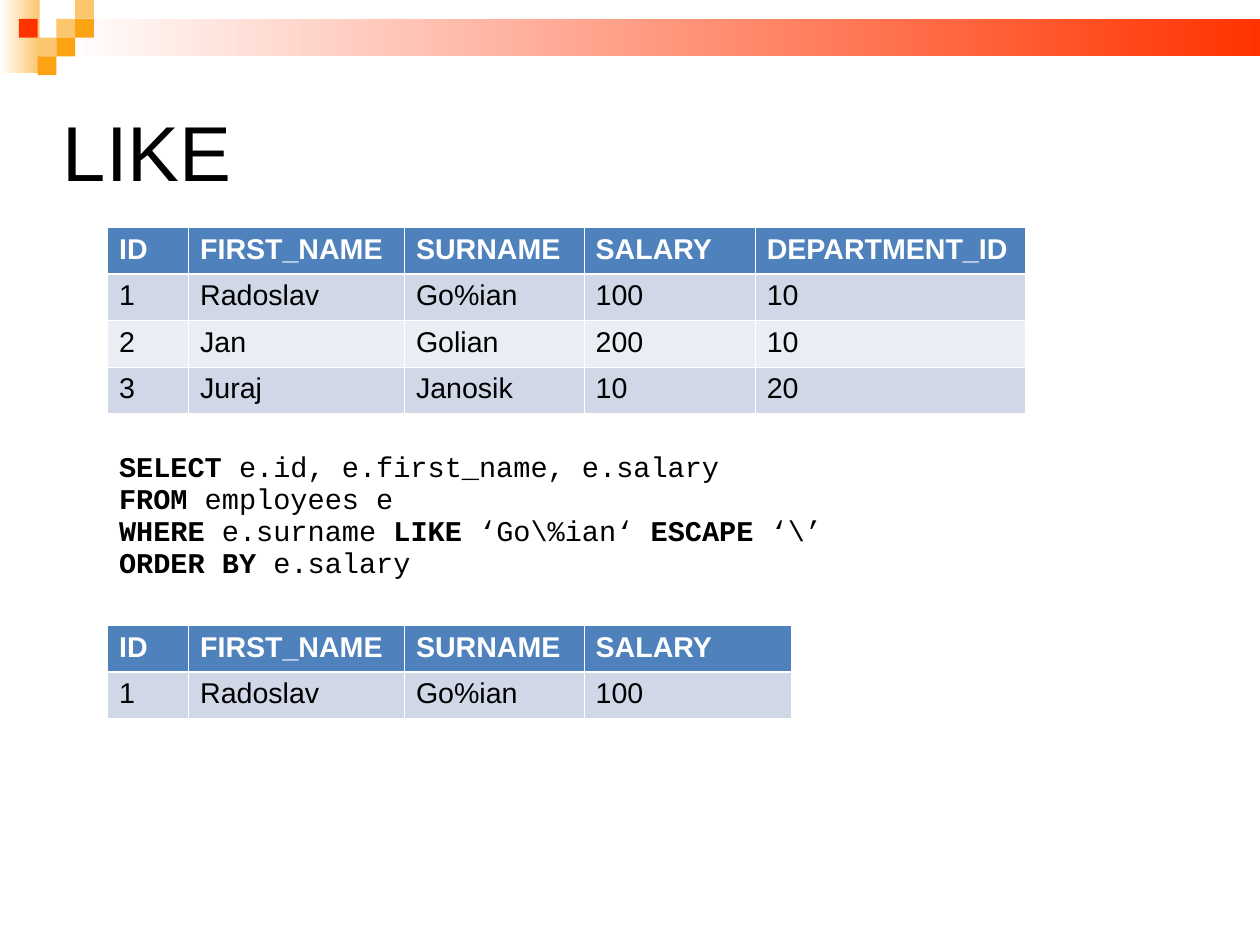
import pptx
import pptx.dml.color
import pptx.enum.shapes
import pptx.enum.text
import pptx.oxml
import pptx.oxml.ns
import pptx.util

Pt = pptx.util.Pt
RGBColor = pptx.dml.color.RGBColor

BLACK = RGBColor(0x00, 0x00, 0x00)
WHITE = RGBColor(0xFF, 0xFF, 0xFF)
RED = RGBColor(0xFF, 0x33, 0x00)
ORANGE = RGBColor(0xFB, 0xA3, 0x13)
SAND = RGBColor(0xFC, 0xC6, 0x6E)
HEADER_BLUE = RGBColor(0x4F, 0x81, 0xBD)
BAND_DARK = RGBColor(0xD0, 0xD8, 0xE8)
BAND_LIGHT = RGBColor(0xE9, 0xED, 0xF4)

TITLE_FONT = {"name": "Arial", "size": Pt(49), "bold": False}
HEADER_FONT = {"name": "Arial", "size": Pt(18), "bold": True}
BODY_FONT = {"name": "Arial", "size": Pt(18), "bold": False}
CODE_FONT = {"name": "Courier New", "size": Pt(18), "bold": False}
KEYWORD_FONT = {"name": "Courier New", "size": Pt(18), "bold": True}

THIN, THICK = 0.45, 1.47
ROW_HEIGHT = 29.3
TABLE_LEFT = 67.9
TILE = 11.85
TILES = [
    (3, 1, SAND), (4, 0, SAND), (4, 1, ORANGE), (2, 2, SAND),
    (1, 1, RED), (3, 2, ORANGE), (2, 3, ORANGE),
]

EMPLOYEES = [
    ["ID", "FIRST_NAME", "SURNAME", "SALARY", "DEPARTMENT_ID"],
    ["1", "Radoslav", "Go%ian", "100", "10"],
    ["2", "Jan", "Golian", "200", "10"],
    ["3", "Juraj", "Janosik", "10", "20"],
]
RESULT = [EMPLOYEES[0][:4], EMPLOYEES[1][:4]]
QUERY = [
    [("SELECT ", True), ("e.id, e.first_name, e.salary", False)],
    [("FROM", True), (" employees e", False)],
    [("WHERE ", True), ("e.surname ", False), ("LIKE", True),
     (" ‘Go\\%ian‘ ", False), ("ESCAPE", True), (" ‘\\’", False)],
    [("ORDER BY ", True), ("e.salary", False)],
]


def set_attributes(target, values):
    for name, value in values.items():
        setattr(target, name, value)


def add_span(para, text, font, color):
    span = para.add_run()
    span.text = text
    set_attributes(span.font, font)
    span.font.color.rgb = color


def add_rectangle(page, left, top, width, height):
    rectangle = page.shapes.add_shape(
        pptx.enum.shapes.MSO_SHAPE.RECTANGLE,
        Pt(left), Pt(top), Pt(width), Pt(height))
    rectangle.shadow.inherit = False
    rectangle.line.fill.background()
    return rectangle


def add_fade(page, left, top, width, height, color):
    fill = add_rectangle(page, left, top, width, height).fill
    fill.gradient()
    fill.gradient_angle = 180
    for stop, stop_color in zip(fill.gradient_stops, (color, WHITE)):
        stop.color.rgb = stop_color
    for stop, position in zip(fill.gradient_stops, (0, 1)):
        stop.position = position


def add_tile(page, column, row, color):
    tile = add_rectangle(page, column * TILE, row * TILE, TILE, TILE)
    tile.fill.solid()
    tile.fill.fore_color.rgb = color


def set_title(page, text):
    title = page.shapes.title
    set_attributes(title, {"left": Pt(39.6), "top": Pt(39.6),
                           "width": Pt(714.2), "height": Pt(118.8)})
    set_attributes(title.text_frame, {
        "margin_left": 0, "margin_top": 0, "margin_right": 0,
        "margin_bottom": 0, "word_wrap": True,
        "vertical_anchor": pptx.enum.text.MSO_ANCHOR.MIDDLE})
    para = title.text_frame.paragraphs[0]
    set_attributes(para, {"alignment": pptx.enum.text.PP_ALIGN.LEFT,
                          "line_spacing": 0.87})
    add_span(para, text, TITLE_FONT, BLACK)


def add_query(page, lines):
    box = page.shapes.add_textbox(Pt(TABLE_LEFT), Pt(280.8), Pt(550), Pt(88.6))
    frame = box.text_frame
    frame.word_wrap = True
    for index, line in enumerate(lines):
        para = frame.add_paragraph() if index else frame.paragraphs[0]
        para.line_spacing = 0.94
        for text, is_keyword in line:
            add_span(para, text, KEYWORD_FONT if is_keyword else CODE_FONT, BLACK)


def add_borders(cell, top, bottom):
    properties = cell._tc.get_or_add_tcPr()
    for side, width in (("L", THIN), ("R", THIN), ("T", top), ("B", bottom)):
        properties.append(pptx.oxml.parse_xml(
            f'<a:ln{side} {pptx.oxml.ns.nsdecls("a")} w="{Pt(width)}">'
            f'<a:solidFill><a:srgbClr val="{WHITE}"/></a:solidFill></a:ln{side}>'))


def fill_cell(cell, text, row):
    add_borders(cell, THICK if row == 1 else THIN, THICK if row == 0 else THIN)
    cell.fill.solid()
    if row == 0:
        background, font, color = HEADER_BLUE, HEADER_FONT, WHITE
    else:
        background = BAND_DARK if row % 2 else BAND_LIGHT
        font, color = BODY_FONT, BLACK
    cell.fill.fore_color.rgb = background
    add_span(cell.text_frame.paragraphs[0], text, font, color)


def add_records(page, top, widths, records):
    table = page.shapes.add_table(
        len(records), len(widths), Pt(TABLE_LEFT), Pt(top),
        Pt(sum(widths)), Pt(ROW_HEIGHT * len(records))).table
    for column, width in zip(table.columns, widths):
        column.width = Pt(width)
    for row, record in enumerate(records):
        table.rows[row].height = Pt(ROW_HEIGHT)
        for column, text in enumerate(record):
            fill_cell(table.cell(row, column), text, row)


def main():
    deck = pptx.Presentation()
    set_attributes(deck, {"slide_width": Pt(793.7), "slide_height": Pt(595.3)})
    page = deck.slides.add_slide(deck.slide_layouts[5])
    add_fade(page, 0, 0, 25, 46, SAND)
    add_fade(page, 36, TILE, 757.7, 2 * TILE, RED)
    for column, row, color in TILES:
        add_tile(page, column, row, color)
    set_title(page, "LIKE")
    add_query(page, QUERY)
    add_records(page, 394, [51, 136, 113.2, 130.3], RESULT)
    add_records(page, 143.4, [51, 136, 113.2, 107.8, 170], EMPLOYEES)
    deck.save("out.pptx")


if __name__ == "__main__":
    main()
